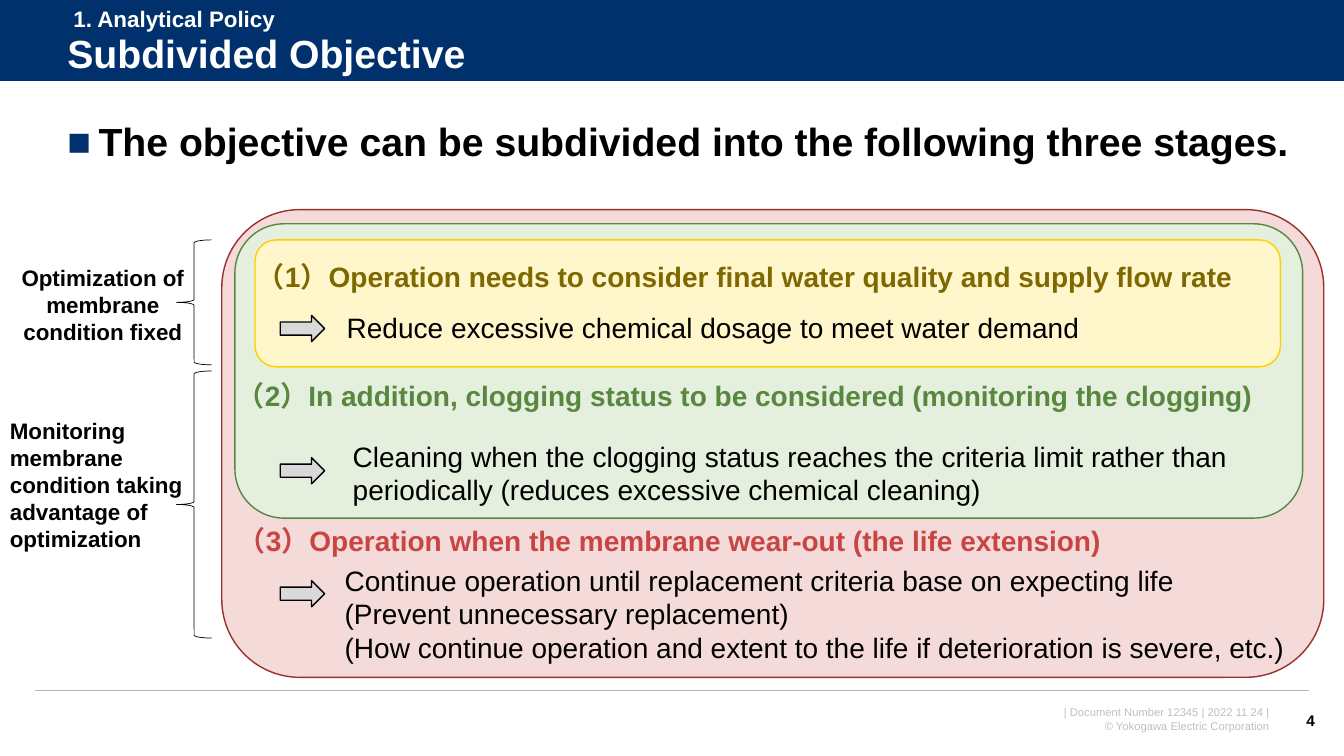
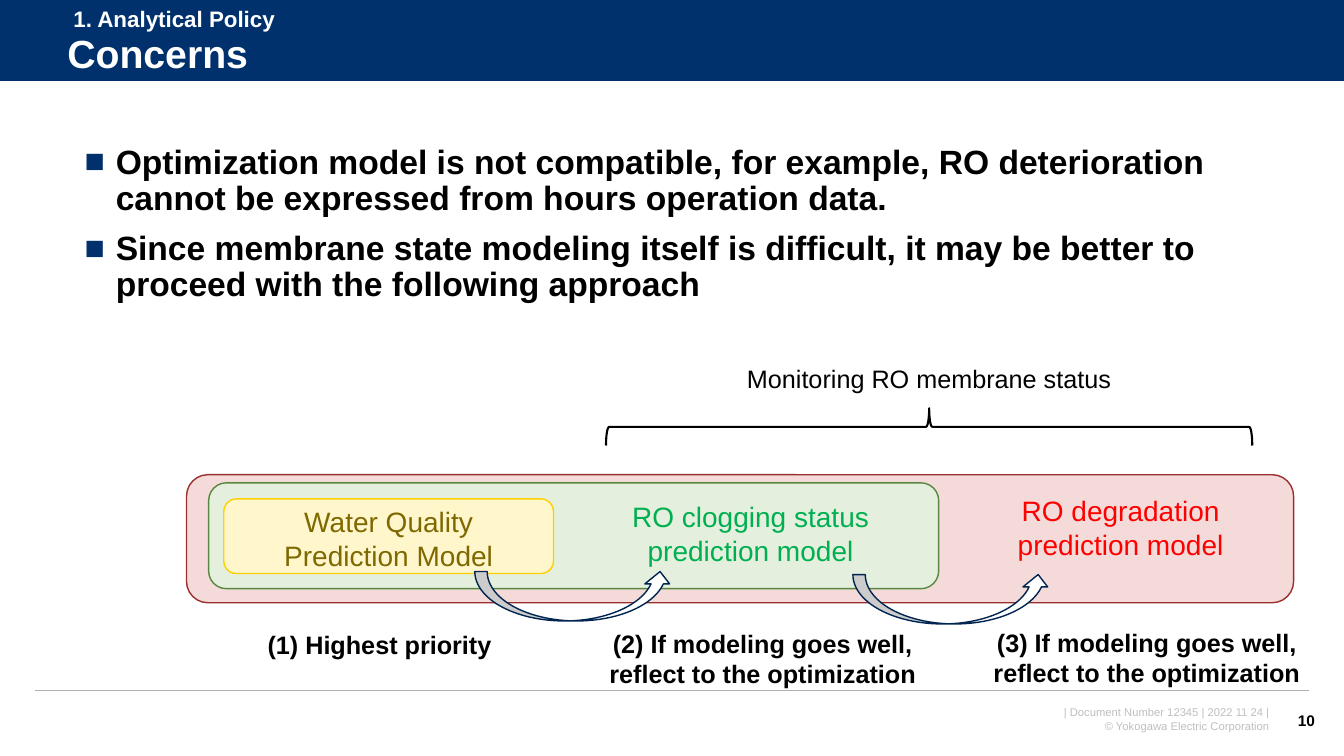
from lxml import etree
from pptx import Presentation
from pptx.dml.color import RGBColor
from pptx.enum import shapes, text
from pptx.oxml import ns
from pptx.util import Inches, Pt

HUES = {
    "navy": "00316C", "deep": "002450", "white": "FFFFFF", "black": "000000",
    "rule": "B2B2B2", "foot": "BFBFBF", "gray": "D9D9D9",
    "pink": "F4DAD9", "brick": "9A302E", "rose": "C74643", "red": "FF0000",
    "mint": "E4EFDE", "leaf": "588740", "green": "00B050",
    "cream": "FFF6CC", "gold": "FDD000", "olive": "7E6800",
}
FONT = "Arial"
KIND = shapes.MSO_SHAPE
ALIGN = {"l": text.PP_ALIGN.LEFT, "c": text.PP_ALIGN.CENTER, "r": text.PP_ALIGN.RIGHT}
NEST = [("pink", "brick"), ("mint", "leaf"), ("cream", "gold")]


def hue(name):
    return RGBColor.from_string(HUES[name])


class Deck:
    """Holds the shared style and the slide being drawn."""

    def __init__(self):
        self.prs = Presentation()
        self.prs.slide_width, self.prs.slide_height = Inches(13.33), Inches(7.5)
        self.slide = None

    def page(self, title, num):
        self.slide = self.prs.slides.add_slide(self.prs.slide_layouts[6])
        self.shape(KIND.RECTANGLE, (0, 0, 13.33, 0.81), "navy")
        self.rule(0, 13.33, 0.81, "white", 0.75)
        self.rule(0.35, 12.98, 6.85, "rule", 1)
        self.text((0.63, 0, 2.3, 0.37), "1. Analytical Policy", 16, "white", bold=True)
        self.text((0.57, 0.27, 12.47, 0.57), title, 28, "white", bold=True, mid=True, lead=0.9)
        self.text((9.48, 6.95, 3.21, 0.37),
                  "| Document Number 12345 | 2022 11 24 |\n© Yokogawa Electric Corporation",
                  8, "foot", "r")
        self.text((12.6, 6.95, 0.54, 0.4), str(num), 11, "black", "r", bold=True, mid=True)

    def shape(self, kind, box, fill=None, line=None, width=1, turn=0):
        item = self.slide.shapes.add_shape(kind, *map(Inches, box))
        item.shadow.inherit = False
        item.rotation = turn
        if fill:
            item.fill.solid()
            item.fill.fore_color.rgb = hue(fill)
        else:
            item.fill.background()
        if line:
            item.line.color.rgb = hue(line)
            item.line.width = Pt(width)
        else:
            item.line.fill.background()

    def rule(self, left, right, top, color, width):
        item = self.slide.shapes.add_connector(
            shapes.MSO_CONNECTOR.STRAIGHT, *map(Inches, (left, top, right, top)))
        item.line.color.rgb = hue(color)
        item.line.width = Pt(width)
        etree.SubElement(item._element.spPr, ns.qn("a:effectLst"))

    def text(self, box, words, size, color="black", align="l", bold=False,
             mid=False, lead=None, mark=False):
        item = self.slide.shapes.add_textbox(*map(Inches, box))
        frame = item.text_frame
        frame.word_wrap = True
        frame.vertical_anchor = text.MSO_ANCHOR.MIDDLE if mid else text.MSO_ANCHOR.TOP
        frame.text = words
        for i, para in enumerate(frame.paragraphs):
            para.alignment = ALIGN[align]
            if lead:
                para.line_spacing = lead
            if mark:
                if i:
                    para.space_before = Pt(10)
                self.mark(para)
            for run in para.runs:
                run.font.name = FONT
                run.font.size = Pt(size)
                run.font.bold = bold
                run.font.color.rgb = hue(color)

    def mark(self, para):
        """Give a paragraph a navy square bullet with a hanging indent."""
        props = para._p.get_or_add_pPr()
        props.set("marL", str(Inches(0.31)))
        props.set("indent", str(-Inches(0.31)))
        tint = etree.SubElement(props, ns.qn("a:buClr"))
        etree.SubElement(tint, ns.qn("a:srgbClr"), val=HUES["navy"])
        etree.SubElement(props, ns.qn("a:buFont"), typeface=FONT)
        etree.SubElement(props, ns.qn("a:buChar"), char="■")

    def body(self, box, words, size):
        self.text(box, words, size, bold=True, lead=0.9, mark=True)

    def nest(self, *boxes):
        """Draw the three stages as rounded boxes, from the outer one inwards."""
        for box, (fill, line) in zip(boxes, NEST):
            self.shape(KIND.ROUNDED_RECTANGLE, box, fill, line)


def goals(deck):
    deck.page("Subdivided Objective", 4)
    deck.body((0.57, 1.17, 12.4, 0.66),
              "The objective can be subdivided into the following three stages.", 28)
    deck.nest((2.2, 2.08, 10.93, 4.64), (2.33, 2.22, 10.59, 2.92), (2.53, 2.38, 10.17, 1.26))
    heads = [
        (2.45, 2.53, "olive",
         "（1）Operation needs to consider final water quality and supply flow rate"),
        (2.25, 3.71, "leaf",
         "（2）In addition, clogging status to be considered (monitoring the clogging)"),
        (2.26, 5.14, "rose",
         "（3）Operation when the membrane wear-out (the life extension)"),
    ]
    for left, top, color, words in heads:
        deck.text((left, top, 10.66, 0.44), words, 20, color, bold=True)
    steps = [
        (3.34, 3.03, 3.13, "Reduce excessive chemical dosage to meet water demand"),
        (3.4, 4.31, 4.54, "Cleaning when the clogging status reaches the criteria limit "
         "rather than periodically (reduces excessive chemical cleaning)"),
        (3.32, 5.54, 5.76, "Continue operation until replacement criteria base on expecting life\n"
         "(Prevent unnecessary replacement)\n"
         "(How continue operation and extent to the life if deterioration is severe, etc.)"),
    ]
    for left, top, tip, words in steps:
        deck.shape(KIND.RIGHT_ARROW, (2.78, tip, 0.44, 0.26), "gray", "black")
        deck.text((left, top, 9.64, 0.44), words, 20)
    for top, tall in ((2.38, 1.24), (3.68, 2.65)):
        deck.shape(KIND.LEFT_BRACE, (1.75, top, 0.35, tall), None, "black", 0.5)
    deck.text((0.11, 2.57, 1.82, 0.91), "Optimization of membrane\ncondition fixed",
              16, align="c", bold=True)
    deck.text((0, 4.09, 1.93, 1.72),
              "Monitoring membrane condition taking advantage of\noptimization", 16, bold=True)


def risks(deck):
    deck.page("Concerns", 10)
    deck.body((0.74, 1.39, 11.34, 1.85),
              "Optimization model is not compatible, for example, RO deterioration "
              "cannot be expressed from hours operation data.\n"
              "Since membrane state modeling itself is difficult, it may be better to "
              "proceed with the following approach", 24)
    deck.nest((1.85, 4.71, 10.98, 1.27), (2.07, 4.79, 7.24, 1.05), (2.22, 4.95, 3.27, 0.74))
    models = [
        (2.39, 4.94, "olive", "Water Quality Prediction Model"),
        (5.98, 4.89, "green", "RO clogging status prediction model"),
        (9.65, 4.83, "red", "RO degradation prediction model"),
    ]
    for left, top, color, words in models:
        deck.text((left, top, 2.93, 0.8), words, 20, color, "c", mid=True)
    deck.shape(KIND.LEFT_BRACE, (9.03, 1.03, 0.37, 6.41), None, "black", 1.5, 90)
    deck.text((7.08, 3.56, 4.27, 0.4), "Monitoring RO membrane status", 18, align="c")
    for left, top in ((4.71, 5.67), (8.46, 5.7)):
        deck.shape(KIND.CURVED_UP_ARROW, (left, top, 1.96, 0.49), "white", "deep")
    notes = [
        (1.95, 6.19, "(1) Highest priority"),
        (5.75, 6.18, "(2) If modeling goes well, reflect to the optimization"),
        (9.56, 6.17, "(3) If modeling goes well, reflect to the optimization"),
    ]
    for left, top, words in notes:
        deck.text((left, top, 3.63, 0.71), words, 18, align="c", bold=True)


def main():
    deck = Deck()
    goals(deck)
    risks(deck)
    deck.prs.save("out.pptx")


if __name__ == "__main__":
    main()
